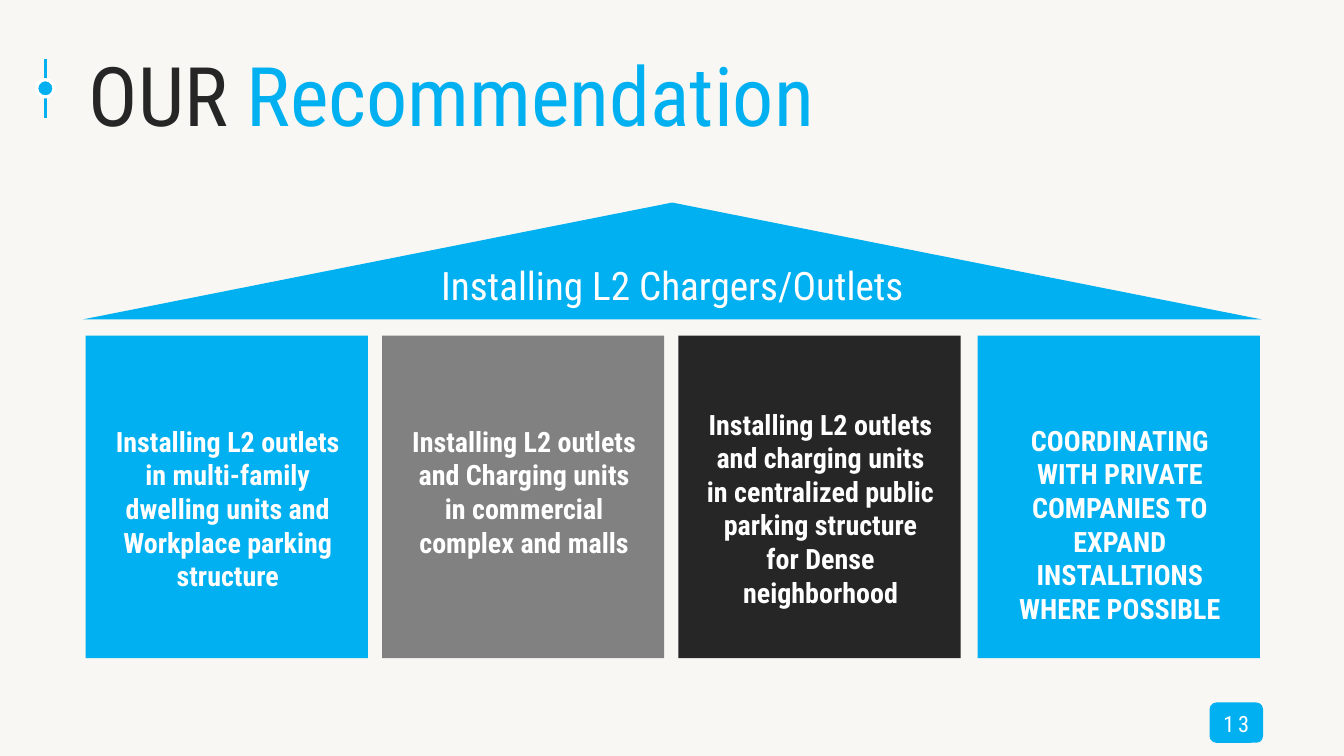
from lxml.etree import SubElement
from pptx import Presentation
from pptx.dml.color import RGBColor
from pptx.enum.shapes import MSO_CONNECTOR, MSO_SHAPE
from pptx.enum.text import MSO_ANCHOR, MSO_AUTO_SIZE, PP_ALIGN
from pptx.oxml.ns import qn
from pptx.util import Pt

COLOURS = {
    "paper": "F8F7F3",
    "blue": "00B0F0",
    "grey": "818181",
    "dark": "262626",
    "white": "FFFFFF",
}

RECOMMENDATIONS = [
    (61.2, 299.5, "blue",
     "Installing L2 outlets in multi-family dwelling units and Workplace parking structure"),
    (272.9, 299.5, "grey",
     "Installing L2 outlets and Charging units in commercial complex and malls"),
    (484.6, 287.3, "dark",
     "Installing L2 outlets and charging units in centralized public parking structure "
     "for Dense neighborhood"),
    (698.4, 298.8, "blue",
     "COORDINATING WITH PRIVATE COMPANIES TO EXPAND INSTALLTIONS WHERE POSSIBLE"),
]


class SlideBuilder:
    font_name = "Roboto Condensed"

    def __init__(self, presentation):
        self.slide = presentation.slides.add_slide(presentation.slide_layouts[5])
        background = self.slide.background.fill
        background.solid()
        background.fore_color.rgb = self.colour("paper")

    def colour(self, name):
        return RGBColor.from_string(COLOURS[name])

    def style(self, font, size, colour=None, bold=False):
        font.name = self.font_name
        font.size = Pt(size)
        font.bold = bold
        if colour:
            font.color.rgb = self.colour(colour)

    def title(self, box, size, parts):
        heading = self.slide.shapes.title
        heading.left, heading.top, heading.width, heading.height = map(Pt, box)
        frame = heading.text_frame
        frame.word_wrap = True
        frame.auto_size = MSO_AUTO_SIZE.NONE
        frame.vertical_anchor = MSO_ANCHOR.MIDDLE
        paragraph = frame.paragraphs[0]
        paragraph.alignment = PP_ALIGN.LEFT
        self.style(paragraph.font, size)
        for words, colour in parts:
            run = paragraph.add_run()
            run.text = words
            run.font.color.rgb = self.colour(colour)

    def shape(self, kind, box, fill, outline=None):
        shape = self.slide.shapes.add_shape(kind, *map(Pt, box))
        shape.shadow.inherit = False
        shape.fill.solid()
        shape.fill.fore_color.rgb = self.colour(fill)
        if outline:
            shape.line.color.rgb = self.colour(outline)
            shape.line.width = Pt(2.25)
        else:
            shape.line.fill.background()
        return shape

    def line(self, start, end, colour):
        line = self.slide.shapes.add_connector(
            MSO_CONNECTOR.STRAIGHT, *map(Pt, start + end))
        line.line.color.rgb = self.colour(colour)
        line.line.width = Pt(2.25)
        SubElement(line._element.spPr, qn("a:effectLst"))

    def words(self, frame, text, size, insets, anchor=MSO_ANCHOR.TOP,
              bold=False, space_after=0, spacing=None):
        frame.word_wrap = True
        frame.vertical_anchor = anchor
        (frame.margin_left, frame.margin_top,
         frame.margin_right, frame.margin_bottom) = map(Pt, insets)
        paragraph = frame.paragraphs[0]
        paragraph.alignment = PP_ALIGN.CENTER
        paragraph.space_after = Pt(space_after)
        self.style(paragraph.font, size, "white", bold)
        run = paragraph.add_run()
        run.text = text
        if spacing:
            run._r.get_or_add_rPr().set("spc", str(round(spacing * 100)))

    def text_box(self, box, text):
        frame = self.slide.shapes.add_textbox(*map(Pt, box)).text_frame
        self.words(frame, text, 20, (10, 3.6, 7.2, 3.6), bold=True, space_after=8)


def main():
    presentation = Presentation()
    presentation.slide_width = Pt(960)
    presentation.slide_height = Pt(540)
    builder = SlideBuilder(presentation)

    builder.line((32.4, 42), (32.4, 84.2), "blue")
    builder.shape(MSO_SHAPE.OVAL, (26.2, 56.9, 12.4, 12.4), "blue", "white")
    builder.title((56.2, 21.6, 856, 90), 58.7,
                  [("OUR ", "dark"), ("Recommendation", "blue")])

    for left, text_top, fill, text in RECOMMENDATIONS:
        builder.shape(MSO_SHAPE.RECTANGLE, (left, 239.8, 201.6, 230.4), fill)
        builder.text_box((left + 9.7, text_top, 180.7, 540 - 2 * 212), text)

    roof = builder.shape(MSO_SHAPE.ISOSCELES_TRIANGLE, (59, 144.7, 842.4, 83.5), "blue")
    builder.words(roof.text_frame, "Installing L2 Chargers/Outlets", 28, (0, 0, 0, 0))

    page_badge = builder.shape(MSO_SHAPE.ROUNDED_RECTANGLE, (864, 501.8, 38.2, 28.8), "blue")
    builder.words(page_badge.text_frame, "13", 16, (0, 1.4, 0, 0),
                  MSO_ANCHOR.MIDDLE, spacing=2.7)

    presentation.save("out.pptx")


if __name__ == "__main__":
    main()
